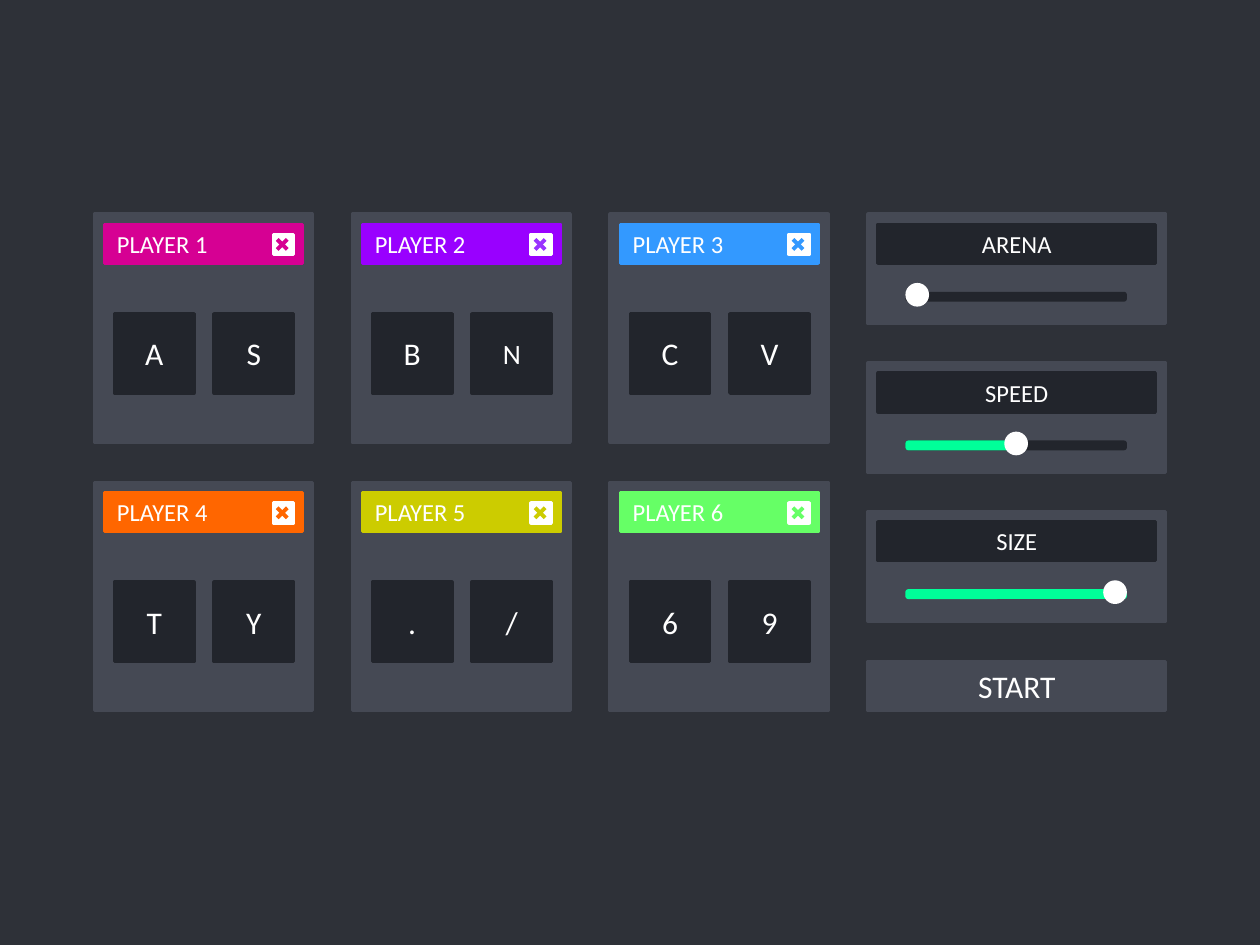
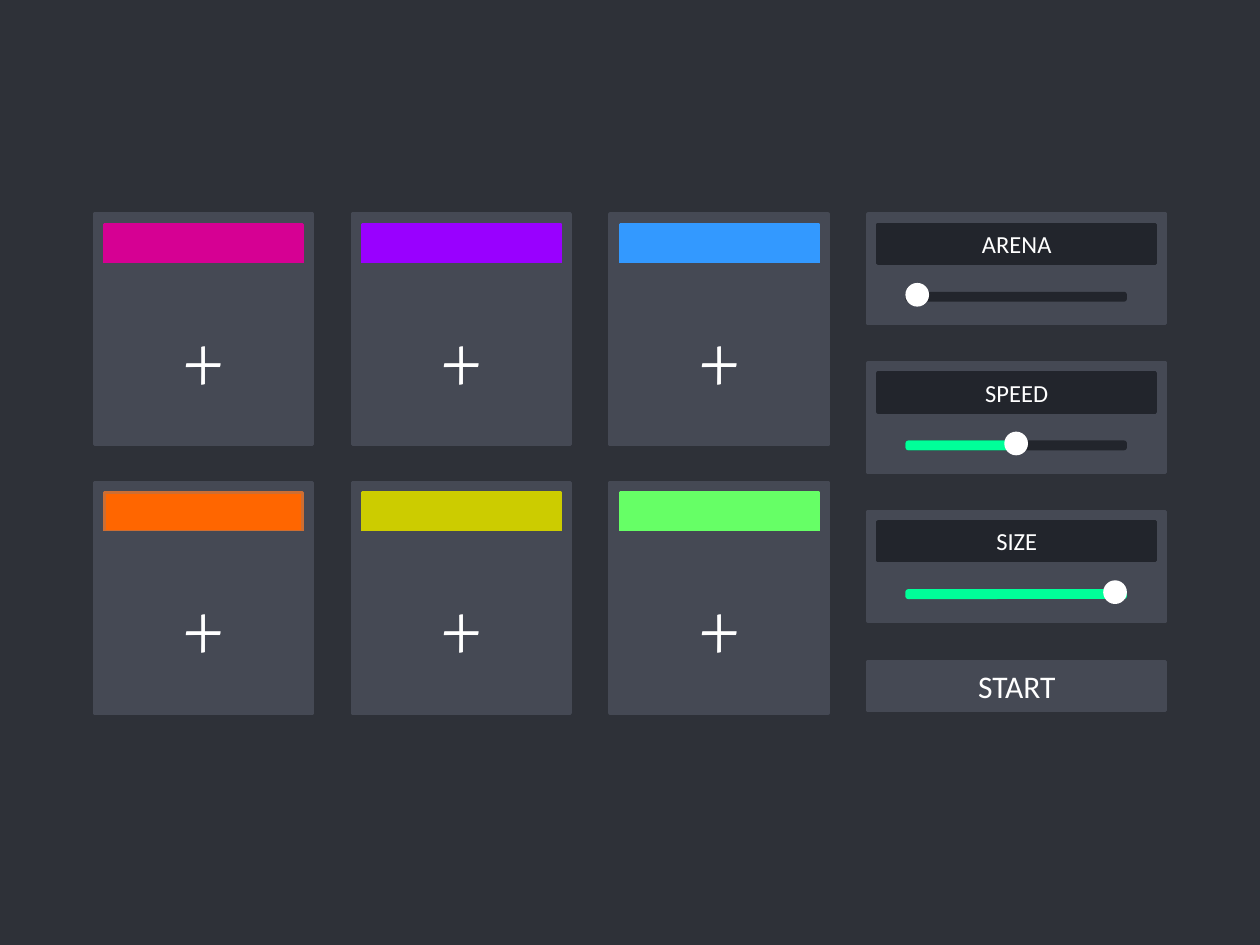
from dataclasses import dataclass

import pptx
import pptx.dml.color
import pptx.enum.shapes
import pptx.enum.text
import pptx.oxml
import pptx.oxml.ns
import pptx.util
from pptx.util import Inches, Pt

SHAPE = pptx.enum.shapes.MSO_SHAPE
ALIGN = pptx.enum.text.PP_ALIGN

COLORS = {
    "background": "2E3138",
    "panel": "454954",
    "dark": "22252C",
    "white": "FFFFFF",
    "level": "00FF99",
    "pink": "D60093",
    "purple": "9900FF",
    "violet": "9933FF",
    "blue": "3399FF",
    "orange": "FF6600",
    "rust": "CD6E33",
    "yellow": "CCCC00",
    "green": "66FF66",
}

# Layout of the menu, in inches
LEFT, TOP = 0.75, 1.7
SETTINGS_LEFT, SETTINGS_WIDTH = 6.89, 2.36
COLUMNS = 3
COLUMN_PITCH = (SETTINGS_LEFT - LEFT) / COLUMNS
ROW_PITCH, SETTING_PITCH = 2.13, 1.18
CARD_WIDTH, CARD_HEIGHT = 1.73, 1.81
PAD, HEADER_HEIGHT = 0.08, 0.31
KEY_SIZE, KEY_PITCH = 0.63, 0.79
TRACK_WIDTH, TRACK_HEIGHT = 1.73, 0.05
KNOB = 0.16


@dataclass(frozen=True)
class Label:
    text: str
    size: float = 14
    font: str = "Calibri"
    align: ALIGN = ALIGN.CENTER


@dataclass(frozen=True)
class Key:
    letter: str
    size: float = 18


@dataclass(frozen=True)
class Player:
    name: str
    color: str
    keys: tuple[Key, Key]
    cross: str = ""         # colour of the cross when it differs
    empty_border: str = ""  # header border of the empty card when it differs


@dataclass(frozen=True)
class Setting:
    name: str
    share: float


PLAYERS = [
    Player("PLAYER 1", "pink", (Key("A"), Key("S"))),
    Player("PLAYER 2", "purple", (Key("B"), Key("N", 16)), cross="violet"),
    Player("PLAYER 3", "blue", (Key("C"), Key("V"))),
    Player("PLAYER 4", "orange", (Key("T"), Key("Y")), empty_border="rust"),
    Player("PLAYER 5", "yellow", (Key("."), Key("/"))),
    Player("PLAYER 6", "green", (Key("6"), Key("9"))),
]
SETTINGS = [Setting("ARENA", 0), Setting("SPEED", 0.5), Setting("SIZE", 1)]


def rgb(color: str) -> pptx.dml.color.RGBColor:
    return pptx.dml.color.RGBColor.from_string(COLORS[color])


def add_block(shapes, x: float, y: float, width: float, height: float, color: str,
              label: Label | None = None, kind=SHAPE.RECTANGLE, border: str = "") -> None:
    """Draw a filled shape with a 2 pt border and an optional label."""
    block = shapes.add_shape(kind, Inches(x), Inches(y), Inches(width), Inches(height))
    block.shadow.inherit = False
    block.fill.solid()
    block.fill.fore_color.rgb = rgb(color)
    block.line.color.rgb = rgb(border or color)
    block.line.width = Pt(2)
    if label:
        frame = block.text_frame
        frame.word_wrap = True
        frame.vertical_anchor = pptx.enum.text.MSO_ANCHOR.MIDDLE
        paragraph = frame.paragraphs[0]
        paragraph.alignment = label.align
        run = paragraph.add_run()
        run.text = label.text
        run.font.name = label.font
        run.font.size = Pt(label.size)
        run.font.color.rgb = rgb("white")


def add_stroke(shapes, x1: float, y1: float, x2: float, y2: float, color: str) -> None:
    stroke = shapes.add_connector(pptx.enum.shapes.MSO_CONNECTOR.STRAIGHT,
                                  Inches(x1), Inches(y1), Inches(x2), Inches(y2))
    stroke.line.color.rgb = rgb(color)
    stroke.line.width = Pt(2.25)
    properties = stroke._element.spPr
    properties.append(pptx.oxml.parse_xml(
        f'<a:effectLst {pptx.oxml.ns.nsdecls("a")}/>'))


def add_remove_button(slide, x: float, y: float, color: str) -> None:
    button = slide.shapes.add_group_shape().shapes
    near, far = 0.03, 0.11
    add_block(button, x, y, KNOB, KNOB, "white")
    add_stroke(button, x + far, y + far + 0.01, x + near, y + near + 0.01, color)
    add_stroke(button, x + far, y + near + 0.01, x + near, y + far + 0.01, color)


def add_card(slide, index: int, joined: bool) -> None:
    """Draw one player's card, either with keys or with a plus sign."""
    player = PLAYERS[index]
    row, column = divmod(index, COLUMNS)
    x, y = LEFT + column * COLUMN_PITCH, TOP + row * ROW_PITCH
    add_block(slide.shapes, x, y, CARD_WIDTH, CARD_HEIGHT, "panel")
    name = Label(player.name, align=ALIGN.LEFT) if joined else None
    border = "" if joined else player.empty_border
    add_block(slide.shapes, x + PAD, y + PAD, CARD_WIDTH - 2 * PAD, HEADER_HEIGHT,
              player.color, name, border=border)
    if not joined:
        add_block(slide.shapes, x, y + 0.4, CARD_WIDTH, 1.43, "panel",
                  Label("+", 44, "Vollkorn"))
        return
    for position, key in enumerate(player.keys):
        add_block(slide.shapes, x + 2 * PAD + position * KEY_PITCH, y + 0.79,
                  KEY_SIZE, KEY_SIZE, "dark", Label(key.letter, key.size))
    add_remove_button(slide, x + 1.42, y + 2 * PAD, player.cross or player.color)


def add_setting(slide, index: int) -> None:
    """Draw one settings panel with its slider."""
    setting = SETTINGS[index]
    x, y = SETTINGS_LEFT, TOP + index * SETTING_PITCH
    add_block(slide.shapes, x, y, SETTINGS_WIDTH, 0.87, "panel")
    add_block(slide.shapes, x + PAD, y + PAD, SETTINGS_WIDTH - 2 * PAD, HEADER_HEIGHT,
              "dark", Label(setting.name))
    track_x, track_y = x + 0.31, y + 0.63
    if setting.share < 1:
        add_block(slide.shapes, track_x, track_y, TRACK_WIDTH, TRACK_HEIGHT, "dark",
                  kind=SHAPE.ROUNDED_RECTANGLE)
    if setting.share > 0:
        add_block(slide.shapes, track_x, track_y, TRACK_WIDTH * setting.share,
                  TRACK_HEIGHT, "level", kind=SHAPE.ROUNDED_RECTANGLE)
    add_block(slide.shapes, track_x + (TRACK_WIDTH - KNOB) * setting.share, y + 0.56,
              KNOB, KNOB, "white", kind=SHAPE.OVAL)


def add_menu(deck, joined: bool) -> None:
    slide = deck.slides.add_slide(deck.slide_layouts.get_by_name("Blank"))
    slide.background.fill.solid()
    slide.background.fill.fore_color.rgb = rgb("background")
    for index in range(len(PLAYERS)):
        add_card(slide, index, joined)
    for index in range(len(SETTINGS)):
        add_setting(slide, index)
    add_block(slide.shapes, SETTINGS_LEFT, 5.25, SETTINGS_WIDTH, 0.39, "panel",
              Label("START", 18))


deck = pptx.Presentation()
deck.slide_width, deck.slide_height = Inches(10), Inches(7.5)

# First all players have joined, then all places are open
for joined in (True, False):
    add_menu(deck, joined)

deck.save("out.pptx")
